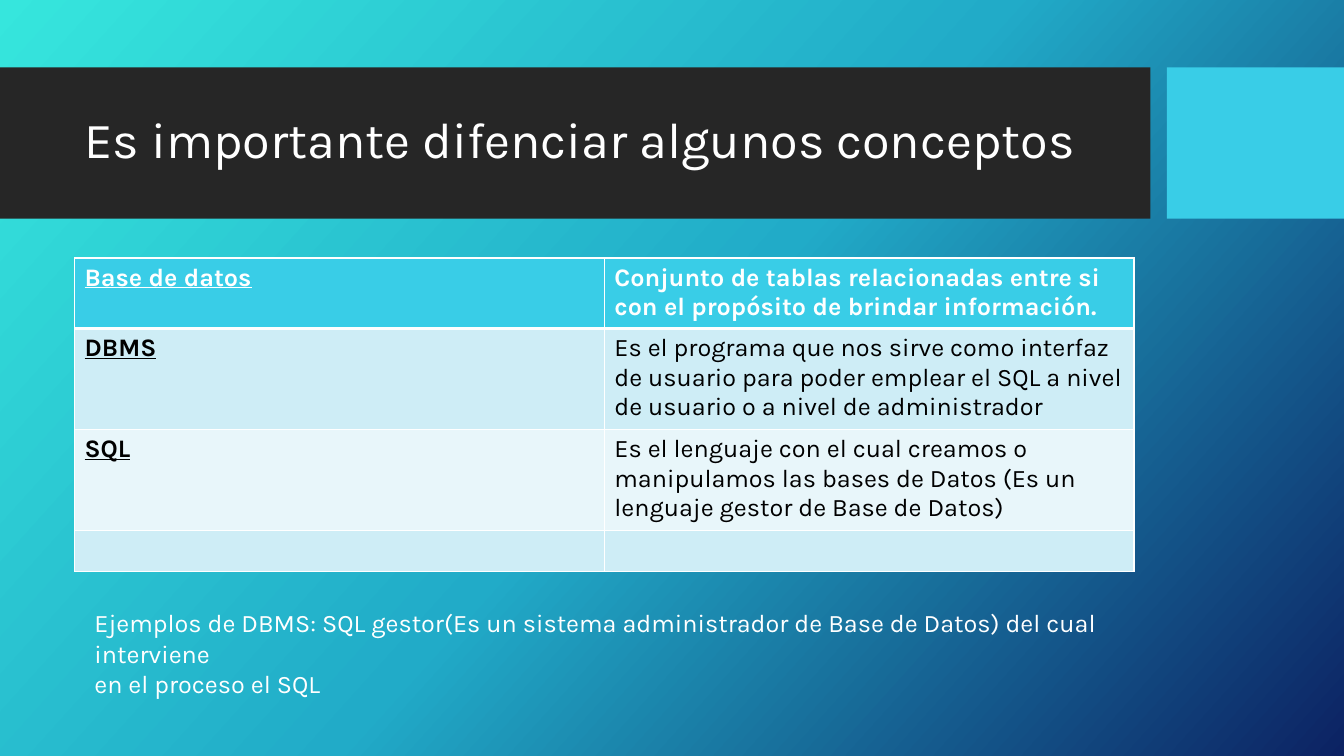
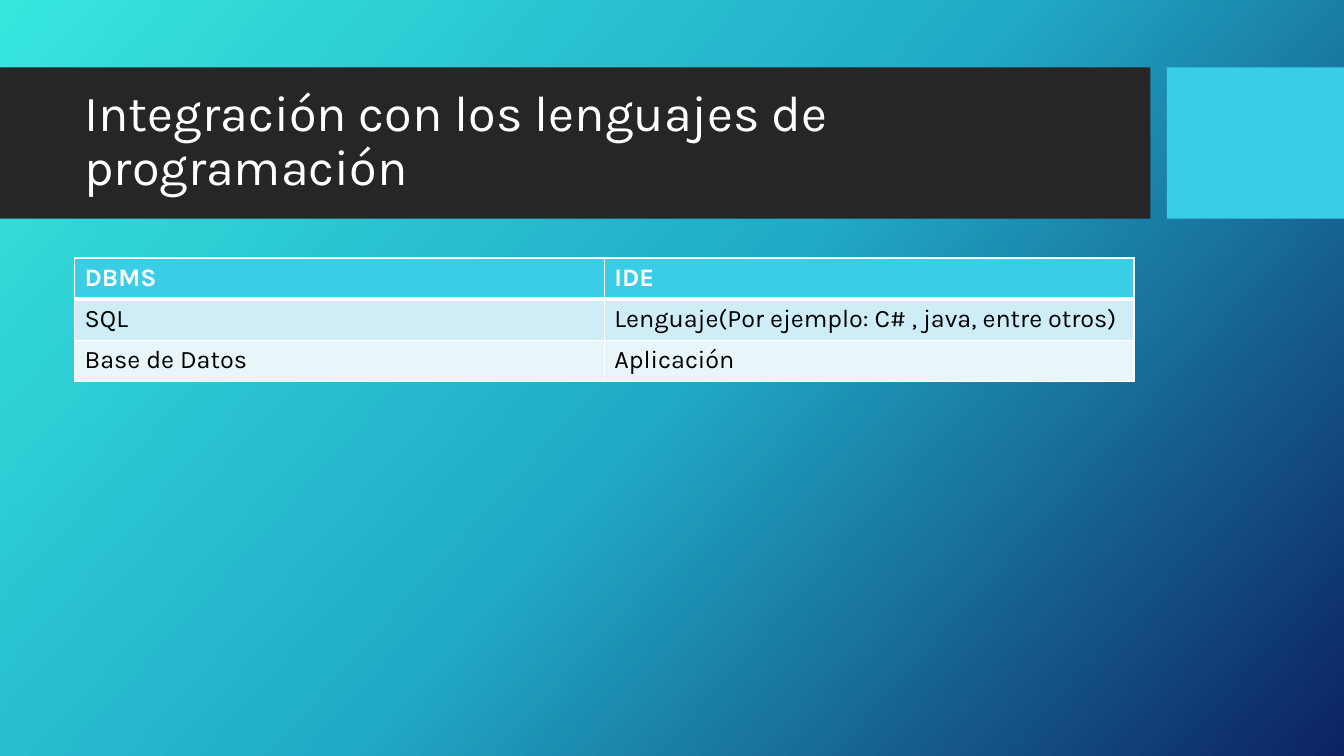
from dataclasses import dataclass

from lxml.etree import SubElement
from pptx import Presentation
from pptx.dml.color import RGBColor
from pptx.enum.shapes import MSO_SHAPE as Shape
from pptx.enum.text import MSO_ANCHOR as Anchor
from pptx.oxml.ns import qn
from pptx.util import Cm, Pt


# Theme
@dataclass(frozen=True)
class Theme:
    font: str = "Karla"
    title_size: int = 36
    body_size: int = 18
    white: str = "FFFFFF"
    black: str = "000000"
    band: str = "262626"
    accent: str = "39CDE7"
    stripes: tuple = ("CEEDF6", "E8F6FA")
    gradient: tuple = ((0, "36E6DD"), (50, "21ABC8"), (100, "0C2263"))
    gradient_angle: int = 42
    rule: int = 1
    header_rule: int = 3


THEME = Theme()

# Content: row heights in cm, "terms" marks a bold underlined first column
SLIDES = [
    {
        "title": "Es importante difenciar algunos conceptos",
        "terms": True,
        "rows": [
            (1.75, "Base de datos",
             "Conjunto de tablas relacionadas entre si con el propósito de brindar información."),
            (2.49, "DBMS",
             "Es el programa que nos sirve como interfaz de usuario para poder emplear "
             "el SQL a nivel de usuario o a nivel de administrador"),
            (2.49, "SQL",
             "Es el lenguaje con el cual creamos o manipulamos las bases de Datos "
             "(Es un lenguaje gestor de Base de Datos)"),
            (1.04, "", ""),
        ],
        "note": [
            "Ejemplos de DBMS: SQL gestor(Es un sistema administrador de Base de Datos) "
            "del cual interviene",
            "en el proceso el SQL",
        ],
    },
    {
        "title": "Integración con los lenguajes de programación",
        "terms": False,
        "rows": [
            (1.04, "DBMS", "IDE"),
            (1.04, "SQL", "Lenguaje(Por ejemplo: C# , java, entre otros)"),
            (1.04, "Base de Datos", "Aplicación"),
        ],
        "note": [],
    },
]

# Layout, in cm
SLIDE_SIZE = (33.87, 19.05)
BAND_TOP, BAND_HEIGHT = 1.7, 3.81
BAND_WIDTH, ACCENT_LEFT = 28.99, 29.41
CONTENT_LEFT, CONTENT_WIDTH = 1.88, 26.7
TITLE_TOP, TITLE_HEIGHT = 2.09, 3.0
TABLE_TOP = 6.5
NOTE_BOX = (2.13, 15.19, 28.55, 2.6)


def set_background(master):
    fill = master.background.fill
    fill.gradient()
    fill.gradient_angle = 360 - THEME.gradient_angle
    stops = master.element.find(".//" + qn("a:gsLst"))
    for stop in list(stops):
        stops.remove(stop)
    for position, color in THEME.gradient:
        stop = SubElement(stops, qn("a:gs"), pos=str(position * 1000))
        SubElement(stop, qn("a:srgbClr"), val=color)


def paint(target, color):
    target.fill.solid()
    target.fill.fore_color.rgb = RGBColor.from_string(color)


def add_span(para, text, size, color, bold=False, underline=False):
    span = para.add_run()
    span.text = text
    span.font.name = THEME.font
    span.font.size = Pt(size)
    span.font.color.rgb = RGBColor.from_string(color)
    span.font.bold = bold
    span.font.underline = underline


def add_band(page, left, width, color):
    band = page.shapes.add_shape(
        Shape.RECTANGLE, Cm(left), Cm(BAND_TOP), Cm(width), Cm(BAND_HEIGHT))
    band.shadow.inherit = False
    paint(band, color)
    band.line.fill.background()


def add_text(page, place, lines, size, anchor=Anchor.TOP, spacing=None):
    box = page.shapes.add_textbox(*map(Cm, place))
    frame = box.text_frame
    frame.word_wrap = True
    frame.vertical_anchor = anchor
    for index, line in enumerate(lines):
        para = frame.add_paragraph() if index else frame.paragraphs[0]
        para.line_spacing = spacing
        add_span(para, line, size, THEME.white)


def set_borders(cell, top, bottom):
    properties = cell._tc.get_or_add_tcPr()
    widths = {"lnL": THEME.rule, "lnR": THEME.rule, "lnT": top, "lnB": bottom}
    for side, width in widths.items():
        line = SubElement(properties, qn("a:" + side), w=str(Pt(width)))
        fill = SubElement(line, qn("a:solidFill"))
        SubElement(fill, qn("a:srgbClr"), val=THEME.white)


def add_concept_table(page, rows, terms):
    height = sum(row[0] for row in rows)
    table = page.shapes.add_table(
        len(rows), 2, Cm(CONTENT_LEFT), Cm(TABLE_TOP),
        Cm(CONTENT_WIDTH), Cm(height)).table
    for column in table.columns:
        column.width = Cm(CONTENT_WIDTH / 2)
    for r, (row_height, *texts) in enumerate(rows):
        table.rows[r].height = Cm(row_height)
        header = r == 0
        for c, text in enumerate(texts):
            cell = table.cell(r, c)
            set_borders(cell,
                        top=THEME.header_rule if r == 1 else THEME.rule,
                        bottom=THEME.header_rule if header else THEME.rule)
            paint(cell, THEME.accent if header else THEME.stripes[(r - 1) % 2])
            if text:
                term = terms and c == 0
                add_span(cell.text_frame.paragraphs[0], text, THEME.body_size,
                         THEME.white if header else THEME.black,
                         bold=header or term, underline=term)


def add_page(deck, content):
    page = deck.slides.add_slide(deck.slide_layouts[6])
    # Title band
    add_band(page, 0, BAND_WIDTH, THEME.band)
    add_band(page, ACCENT_LEFT, SLIDE_SIZE[0] - ACCENT_LEFT, THEME.accent)
    add_text(page, (CONTENT_LEFT, TITLE_TOP, CONTENT_WIDTH, TITLE_HEIGHT),
             [content["title"]], THEME.title_size, Anchor.MIDDLE, 0.9)
    # Body
    add_concept_table(page, content["rows"], content["terms"])
    if content["note"]:
        add_text(page, NOTE_BOX, content["note"], THEME.body_size)


def main():
    deck = Presentation()
    deck.slide_width, deck.slide_height = map(Cm, SLIDE_SIZE)
    set_background(deck.slide_master)
    for content in SLIDES:
        add_page(deck, content)
    deck.save("out.pptx")


if __name__ == "__main__":
    main()
